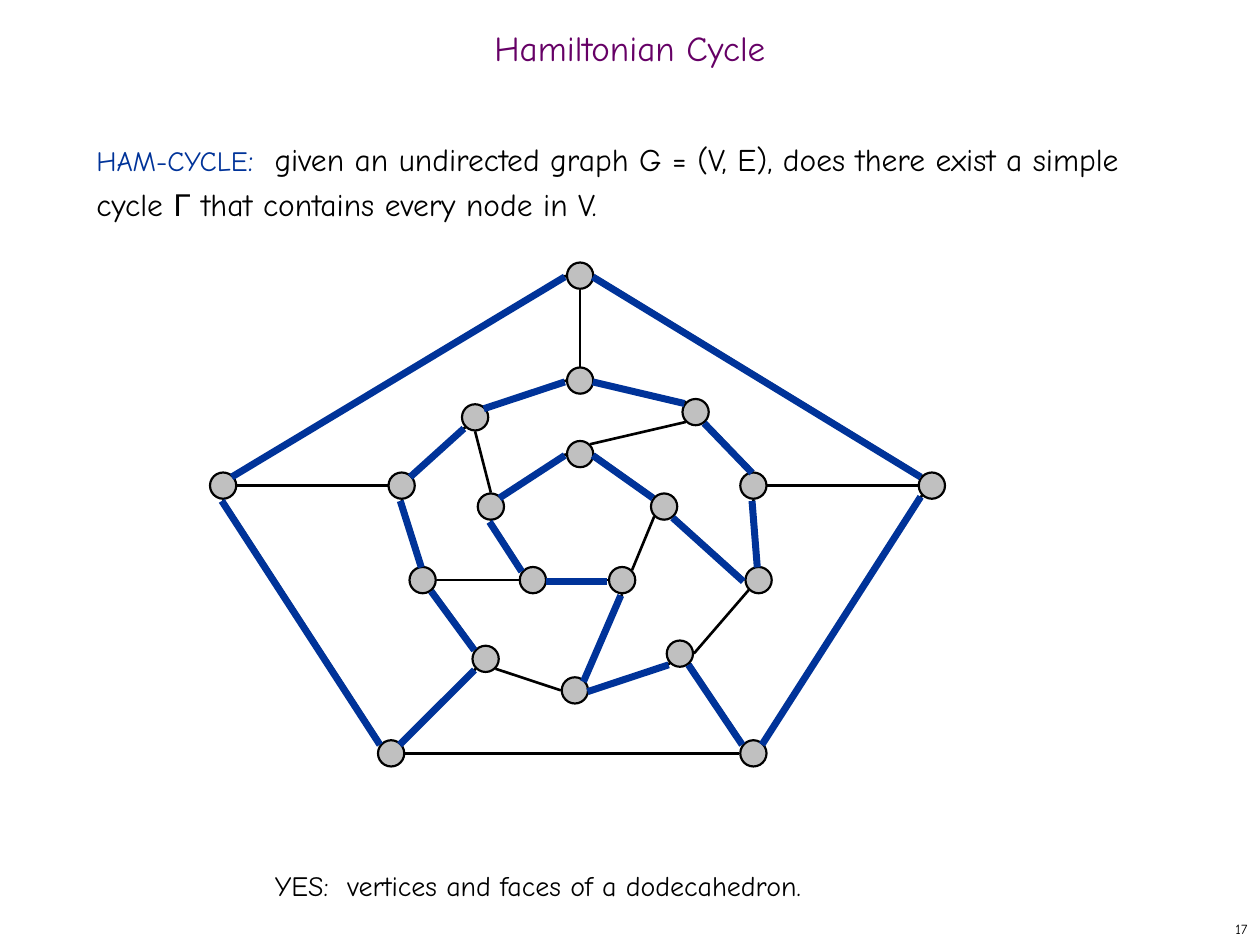
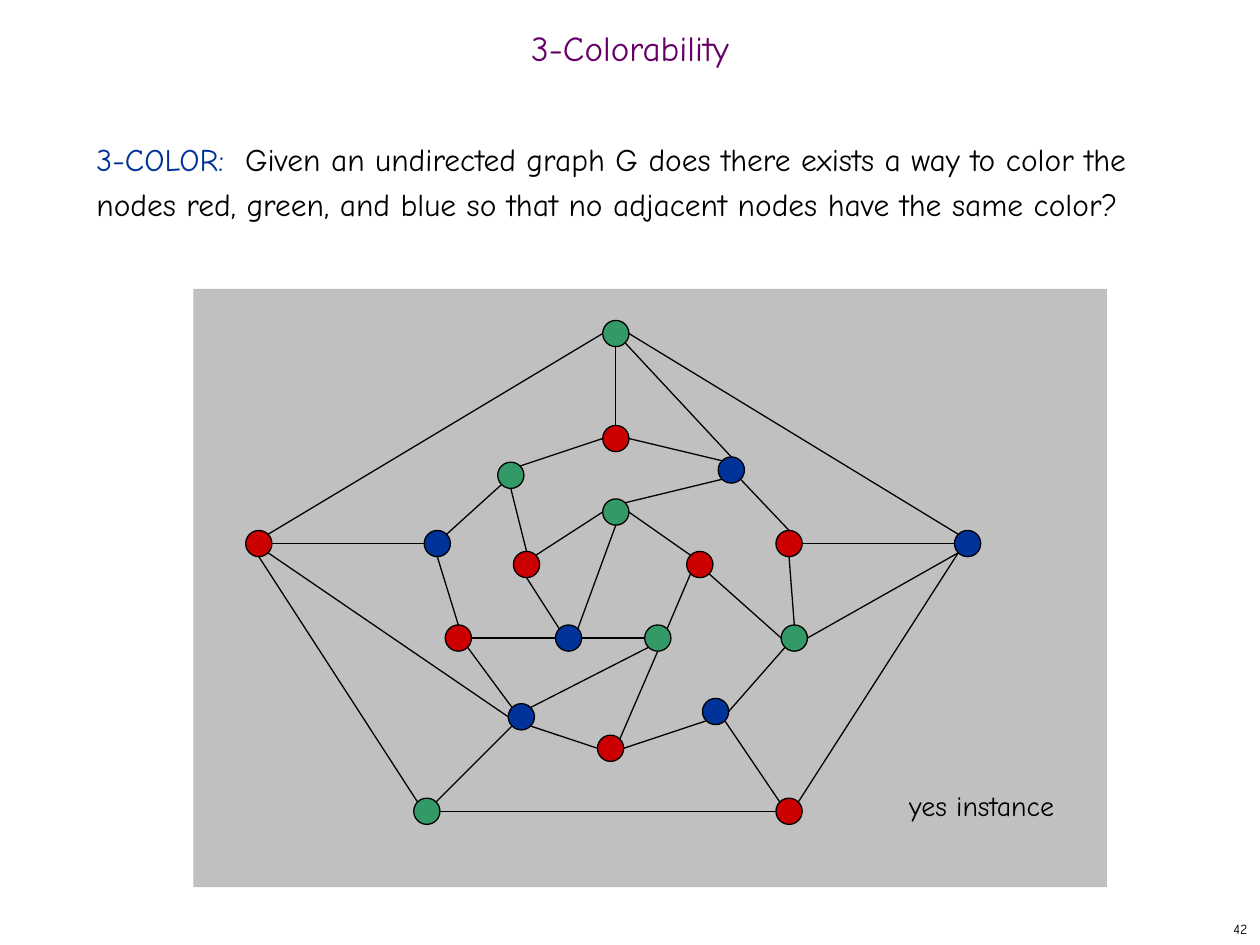
from math import sqrt

from lxml import etree
from pptx import Presentation
from pptx.dml.color import RGBColor
from pptx.enum.shapes import MSO_CONNECTOR, MSO_SHAPE
from pptx.enum.text import MSO_ANCHOR, PP_ALIGN
from pptx.oxml.ns import qn
from pptx.util import Pt

STRAIGHT = MSO_CONNECTOR.STRAIGHT
OVAL, RECTANGLE = MSO_SHAPE.OVAL, MSO_SHAPE.RECTANGLE
TOP, MIDDLE = MSO_ANCHOR.TOP, MSO_ANCHOR.MIDDLE
LEFT, CENTER, RIGHT = PP_ALIGN.LEFT, PP_ALIGN.CENTER, PP_ALIGN.RIGHT

color = RGBColor.from_string
BLACK, GRAY, PURPLE = "000000", "C0C0C0", "660066"
BLUE, RED, GREEN = "003399", "CC0000", "339966"
FONT = "Comic Neue"
NODE_SIZE = 15

# Top left corners: o = outer pentagon, r = ring, i = inner pentagon,
# each numbered clockwise from the top.
NODES = {
    "o0": (324, 150), "o1": (525, 270), "o2": (423, 423), "o3": (216, 423),
    "o4": (120, 270),
    "r0": (324, 210), "r1": (390, 228), "r2": (423, 270), "r3": (426, 324),
    "r4": (381, 366), "r5": (321, 387), "r6": (270, 369), "r7": (234, 324),
    "r8": (222, 270), "r9": (264, 231),
    "i0": (324, 252), "i1": (372, 282), "i2": (348, 324), "i3": (297, 324),
    "i4": (273, 282),
}

# Each edge: node, side it leaves from, node, side it arrives at.
CYCLE_EDGES = [
    "i0 E i1 NW", "i2 W i3 E", "i3 NW i4 S", "i4 NE i0 W", "o2 NE o1 SW",
    "o0 E o1 NW", "o3 NW o4 S", "o4 NE o0 W", "r2 N r1 SE", "r0 E r1 NW",
    "r3 N r2 S", "r0 W r9 NE", "r9 SW r8 NE", "r8 S r7 N", "r7 SE r6 NW",
    "r5 E r4 SW", "o2 NW r4 SE", "r6 SW o3 NE", "i2 S r5 NE", "r3 W i1 SE",
]
OTHER_EDGES = [
    "i2 NE i1 SW", "o3 E o2 W", "r3 SW r4 E", "r6 SE r5 W", "r8 W o4 E",
    "r0 N o0 S", "r2 E o1 W", "i3 W r7 E", "i4 N r9 S", "r1 SW i0 NE",
]
EXTRA_EDGES = ["i3 NE i0 S", "r3 E o1 SW", "r6 W o4 SE", "r6 NE i2 SW", "r1 N o0 SE"]

NODE_COLORS = {
    GREEN: ["o0", "o3", "r3", "r9", "i0", "i2"],
    RED: ["o2", "o4", "r0", "r2", "r5", "r7", "i1", "i4"],
    BLUE: ["o1", "r1", "r4", "r6", "r8", "i3"],
}


def write_text(page, place, spans, align=LEFT, anchor=TOP, spacing=None, before=0):
    """Add a text box; each span is (text, size, colour) and may end with a font."""
    box = page.shapes.add_textbox(*map(Pt, place))
    frame = box.text_frame
    frame.word_wrap = True
    frame.vertical_anchor = anchor
    para = frame.paragraphs[0]
    para.alignment = align
    para.space_before = Pt(before)
    if spacing:
        para.line_spacing = spacing
    for text, size, ink, *font in spans:
        span = para.add_run()
        span.text = text
        span.font.name = font[0] if font else FONT
        span.font.size = Pt(size)
        span.font.color.rgb = color(ink)


def draw_edges(page, edges, shift, radius, ink, weight):
    """Connect nodes at compass points that lie at the radius from their centres."""
    for edge in edges:
        start, start_side, end, end_side = edge.split()
        ends = []
        for node, side in ((start, start_side), (end, end_side)):
            reach = radius / sqrt(len(side))
            across = ("E" in side) - ("W" in side)
            down = ("S" in side) - ("N" in side)
            for corner, offset, way in zip(NODES[node], shift, (across, down)):
                ends.append(Pt(corner + NODE_SIZE / 2 + offset + way * reach))
        line = page.shapes.add_connector(STRAIGHT, *ends)
        line.line.color.rgb = color(ink)
        line.line.width = Pt(weight)
        etree.SubElement(line._element.spPr, qn("a:effectLst"))


deck = Presentation()
deck.slide_width, deck.slide_height = Pt(720), Pt(540)

contents = [
    {
        "title": "Hamiltonian Cycle",
        "number": "17",
        "problem": [
            ("HAM-CYCLE", 16, BLUE),
            (":  ", 18, BLUE),
            ("given an undirected graph G = (V, E), does there exist a simple cycle ",
             18, BLACK),
            ("Γ", 18, BLACK, "Arial"),
            (" that contains every node in V.", 18, BLACK),
        ],
        "answer": "YES:  vertices and faces of a dodecahedron.",
        "answer_place": (150, 492.5, 426, 26.5),
        "edges": CYCLE_EDGES + OTHER_EDGES,
        "shift": (0, 0),
        "radius": 8,
        "edge_weight": 1.5,
        "outline": 1.25,
        "fills": {GRAY: list(NODES)},
    },
    {
        "title": "3-Colorability",
        "number": "42",
        "problem": [
            ("3-COLOR:  ", 18, BLUE),
            ("Given an undirected graph G does there exists a way to color the nodes "
             "red, green, and blue so that no adjacent nodes have the same color?",
             18, BLACK),
        ],
        "answer": "yes instance",
        "answer_place": (512.5, 447, 108, 26.5),
        "panel": (110.5, 165, 522, 342),
        "edges": CYCLE_EDGES + OTHER_EDGES + EXTRA_EDGES,
        "shift": (20.4, 33.1),
        "radius": 7.5,
        "edge_weight": 0.75,
        "outline": 0.75,
        "fills": NODE_COLORS,
    },
]

pages = []
for content in contents:
    page = deck.slides.add_slide(deck.slide_layouts[6])
    pages.append(page)
    write_text(page, (570, 522, 150, 18), [(content["number"], 8, BLACK)],
               align=RIGHT, anchor=MIDDLE)
    if "panel" in content:
        panel = page.shapes.add_shape(RECTANGLE, *map(Pt, content["panel"]))
        panel.shadow.inherit = False
        panel.fill.solid()
        panel.fill.fore_color.rgb = color(GRAY)
        panel.line.fill.background()
    write_text(page, (0, 12, 720, 36), [(content["title"], 20, PURPLE)],
               align=CENTER, anchor=MIDDLE, spacing=0.7)
    write_text(page, (48, 72, 618, 426), content["problem"], spacing=Pt(26))

    shift = content["shift"]
    draw_edges(page, content["edges"], shift, content["radius"], BLACK,
               content["edge_weight"])
    for fill, names in content["fills"].items():
        for name in names:
            left, top = NODES[name]
            node = page.shapes.add_shape(OVAL, Pt(left + shift[0]), Pt(top + shift[1]),
                                         Pt(NODE_SIZE), Pt(NODE_SIZE))
            node.shadow.inherit = False
            node.fill.solid()
            node.fill.fore_color.rgb = color(fill)
            node.line.color.rgb = color(BLACK)
            node.line.width = Pt(content["outline"])
    write_text(page, content["answer_place"], [(content["answer"], 16, BLACK)], before=10)

# The Hamiltonian cycle lies over the graph, a touch down and to the left.
draw_edges(pages[0], CYCLE_EDGES, (-0.75, 0.75), 8, BLUE, 4)

deck.save("out.pptx")
